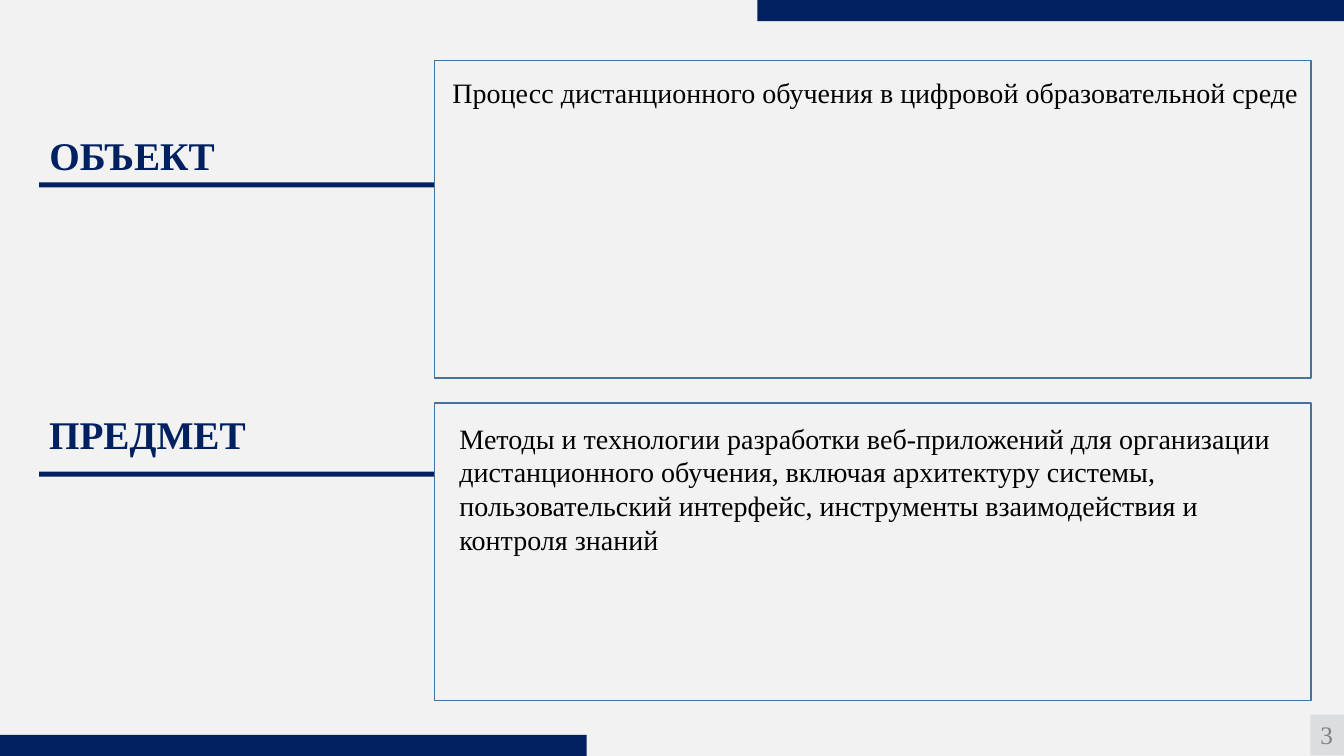
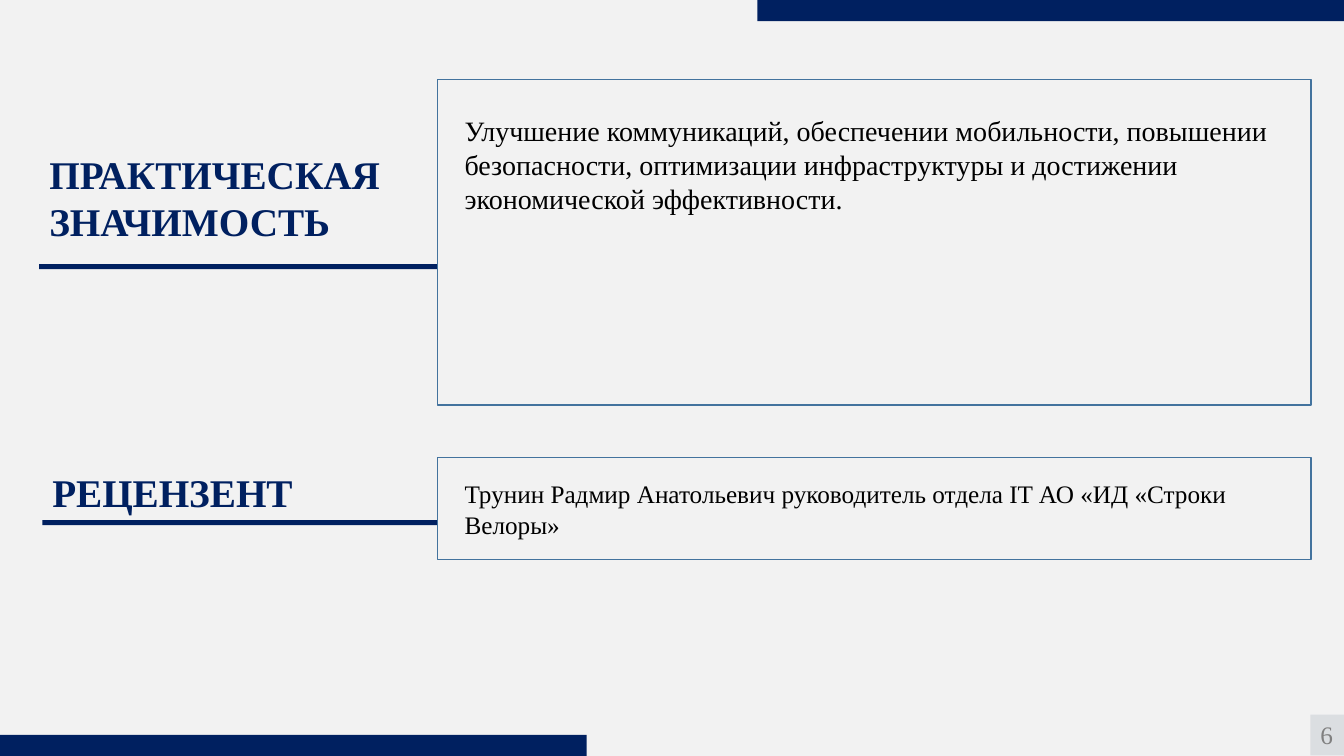
import pptx
import pptx.util
import pptx.dml.color
import pptx.enum.shapes
import pptx.enum.text
from dataclasses import dataclass


@dataclass(frozen=True)
class Theme:
    font: str = "Times New Roman"
    paper: str = "F2F2F2"
    navy: str = "002060"
    frame: str = "43739E"
    ink: str = "000000"
    tag: str = "DBDEE1"
    tag_ink: str = "808080"
    heading_size: int = 28
    body_size: int = 20
    small_size: int = 18


theme = Theme()
color = pptx.dml.color.RGBColor.from_string

deck = pptx.Presentation()
deck.slide_width = pptx.util.Inches(13.333)
deck.slide_height = pptx.util.Inches(7.5)

# Shared layout, in percent of the slide's width and height
BAND_WIDTH, BAND_HEIGHT = 43.65, 2.8
RIGHT_EDGE = 97.55
HEADING_WIDTH, HEADING_LINE, HEADING_PADDING = 30.9, 6.27, 1.33
RULE_HEIGHT = 0.67
TAG_WIDTH, TAG_HEIGHT = 2.5, 5.4


def add_rect(slide, left, top, width, height, fill=None, line=None):
    rect = slide.shapes.add_shape(
        pptx.enum.shapes.MSO_SHAPE.RECTANGLE,
        int(deck.slide_width * left / 100), int(deck.slide_height * top / 100),
        int(deck.slide_width * width / 100), int(deck.slide_height * height / 100))
    rect.shadow.inherit = False
    if fill:
        rect.fill.solid()
        rect.fill.fore_color.rgb = color(fill)
    else:
        rect.fill.background()
    if line:
        rect.line.color.rgb = color(line)
        rect.line.width = pptx.util.Pt(1)
    else:
        rect.line.fill.background()
    return rect


def write(holder, area, text, size, ink, bold=False):
    left, top, width, height = area
    holder.left = int(deck.slide_width * left / 100)
    holder.top = int(deck.slide_height * top / 100)
    holder.width = int(deck.slide_width * width / 100)
    holder.height = int(deck.slide_height * height / 100)
    frame = holder.text_frame
    frame.text = text
    frame.word_wrap = True
    frame.auto_size = pptx.enum.text.MSO_AUTO_SIZE.NONE
    frame.vertical_anchor = pptx.enum.text.MSO_ANCHOR.TOP
    paragraph = frame.paragraphs[0]
    paragraph.alignment = pptx.enum.text.PP_ALIGN.LEFT
    paragraph.line_spacing = 1.0
    paragraph.font.name = theme.font
    paragraph.font.size = pptx.util.Pt(size)
    paragraph.font.bold = bold
    paragraph.font.color.rgb = color(ink)
    return frame


# Background for every slide
paper = deck.slide_master.background.fill
paper.solid()
paper.fore_color.rgb = color(theme.paper)

# Content: page number, left edge of the frames, then the sections of each slide.
# body_at is left, top, width, height
slides = [
    (3, 32.33, [
        dict(heading="ОБЪЕКТ", lines=1, left=2.92, top=16.67, rule=24.13,
             frame_top=8, frame_height=42,
             body="Процесс дистанционного обучения в цифровой образовательной среде",
             body_at=(32.93, 9.33, 64.65, 5.87), size=theme.body_size),
        dict(heading="ПРЕДМЕТ", lines=1, left=2.92, top=53.6, rule=62.4,
             frame_top=53.33, frame_height=39.33,
             body="Методы и технологии разработки веб-приложений для организации "
                  "дистанционного обучения, включая архитектуру системы, "
                  "пользовательский интерфейс, инструменты взаимодействия и "
                  "контроля знаний",
             body_at=(33.45, 55.07, 62.85, 19.33), size=theme.body_size),
    ]),
    (6, 32.55, [
        dict(heading="ПРАКТИЧЕСКАЯ ЗНАЧИМОСТЬ", lines=2, left=2.92, top=19.2, rule=34.93,
             frame_top=10.53, frame_height=43.07,
             body="Улучшение коммуникаций, обеспечении мобильности, повышении "
                  "безопасности, оптимизации инфраструктуры и достижении "
                  "экономической эффективности.",
             body_at=(33.83, 14.4, 62.25, 14.8), size=theme.body_size),
        dict(heading="РЕЦЕНЗЕНТ", lines=1, left=3.15, top=61.33, rule=68.8,
             frame_top=60.53, frame_height=13.47,
             body="Трунин Радмир Анатольевич руководитель отдела IT АО «ИД «Строки Велоры»",
             body_at=(33.83, 62.67, 63.68, 9.47), size=theme.small_size),
    ]),
]

for page, frame_left, sections in slides:
    slide = deck.slides.add_slide(deck.slide_layouts.get_by_name("Title Only"))

    # Corner bands and page number
    add_rect(slide, 100 - BAND_WIDTH, 0, BAND_WIDTH, BAND_HEIGHT, theme.navy)
    add_rect(slide, 0, 100 - BAND_HEIGHT, BAND_WIDTH, BAND_HEIGHT, theme.navy)
    tag_area = (100 - TAG_WIDTH, 94.53, TAG_WIDTH, TAG_HEIGHT)
    page_tag = add_rect(slide, *tag_area, theme.tag)
    tag_frame = write(page_tag, tag_area, str(page), theme.small_size, theme.tag_ink)
    tag_frame.word_wrap = False

    # Heading, rule and framed text; the first heading is the slide title
    for index, section in enumerate(sections):
        left = section["left"]
        heading = slide.shapes.title if index == 0 else slide.shapes.add_textbox(0, 0, 0, 0)
        heading_height = section["lines"] * HEADING_LINE + HEADING_PADDING
        write(heading, (left, section["top"], HEADING_WIDTH, heading_height),
              section["heading"], theme.heading_size, theme.navy, bold=True)
        add_rect(slide, left, section["rule"], frame_left - left, RULE_HEIGHT, theme.navy)
        add_rect(slide, frame_left, section["frame_top"], RIGHT_EDGE - frame_left,
                 section["frame_height"], line=theme.frame)
        write(slide.shapes.add_textbox(0, 0, 0, 0), section["body_at"],
              section["body"], section["size"], theme.ink)

deck.save("out.pptx")
